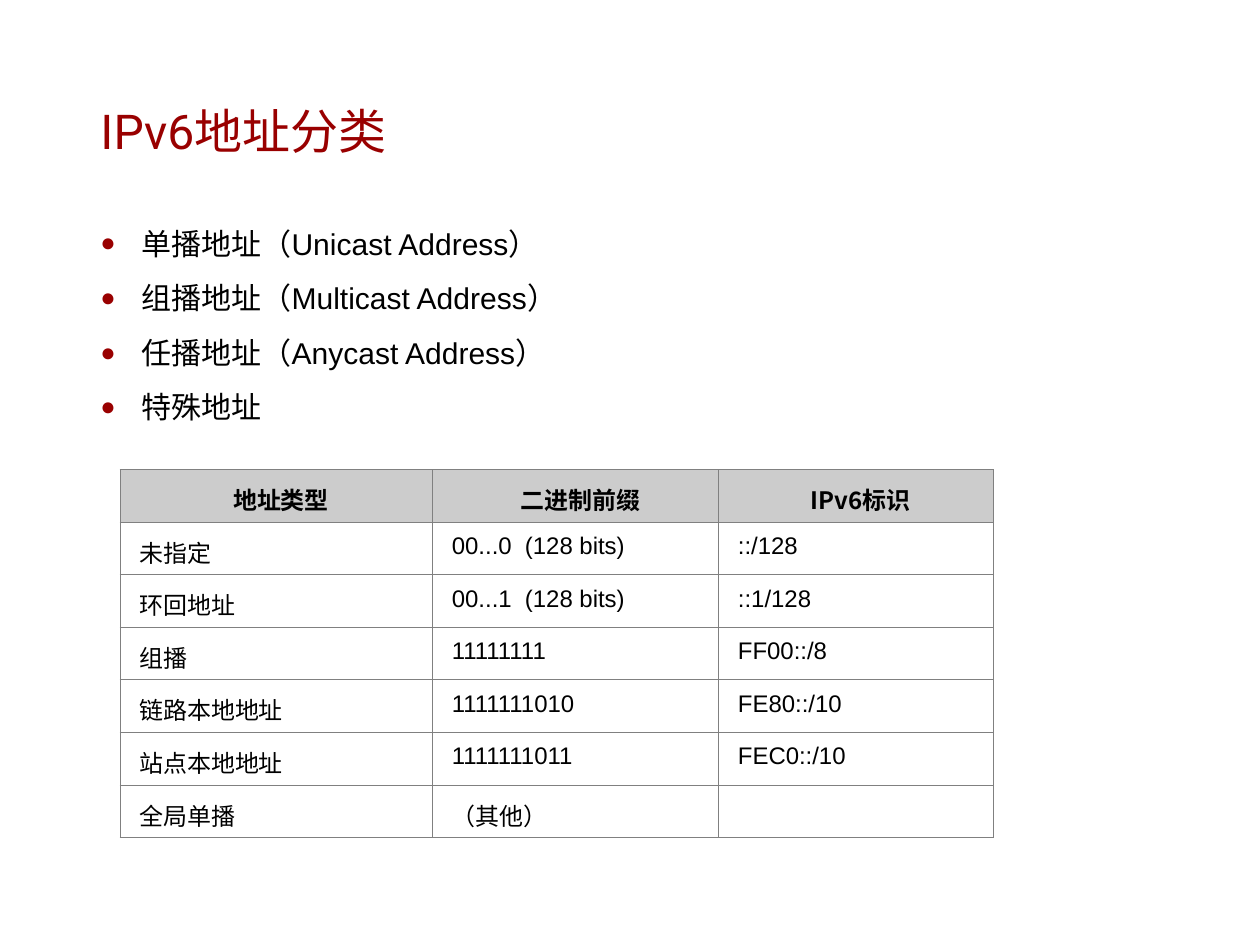
import pptx
import pptx.dml.color
import pptx.enum.text
import pptx.oxml
import pptx.oxml.ns
import pptx.util
from pptx.util import Cm, Pt

COLORS = {"accent": "990000", "text": "000000", "header": "CCCCCC", "border": "808080"}
CJK_FONT = "Noto Sans CJK SC"
LEFT = pptx.enum.text.PP_ALIGN.LEFT
CENTER = pptx.enum.text.PP_ALIGN.CENTER
TOP = pptx.enum.text.MSO_ANCHOR.TOP
MIDDLE = pptx.enum.text.MSO_ANCHOR.MIDDLE


def add_xml(parent, xml):
    """Append a DrawingML fragment whose root uses the a: prefix."""
    namespace = pptx.oxml.ns.nsdecls("a")
    tag, rest = xml[1:].split(" ", 1)
    parent.append(pptx.oxml.parse_xml(f"<{tag} {namespace} {rest}"))


def set_font(paragraph, name, size, color, bold=False):
    font = paragraph.font
    font.name, font.size, font.bold = name, Pt(size), bold
    font.color.rgb = pptx.dml.color.RGBColor.from_string(COLORS[color])
    add_xml(font._element, f'<a:ea typeface="{CJK_FONT}"/>')


presentation = pptx.Presentation()
presentation.slide_width, presentation.slide_height = Cm(29.64), Cm(22.22)
slide = presentation.slides.add_slide(presentation.slide_layouts[1])

# Title
title = slide.shapes.title
title.left, title.top, title.width, title.height = Cm(2.11), Cm(2.06), Cm(22.2), Cm(2.03)
title.text_frame.text = "IPv6地址分类"
title.text_frame.vertical_anchor = MIDDLE
title.text_frame.auto_size = pptx.enum.text.MSO_AUTO_SIZE.NONE
title.text_frame.paragraphs[0].alignment = LEFT
set_font(title.text_frame.paragraphs[0], "Roboto", 32, "accent")

# Address kinds
address_kinds = [
    "单播地址（Unicast Address）",
    "组播地址（Multicast Address）",
    "任播地址（Anycast Address）",
    "特殊地址",
]
body = slide.placeholders[1]
body.left, body.top, body.width, body.height = Cm(2.11), Cm(5.08), Cm(12.7), Cm(5.33)
body.text_frame.text = "\n".join(address_kinds)
body.text_frame.auto_size = pptx.enum.text.MSO_AUTO_SIZE.NONE
for index, paragraph in enumerate(body.text_frame.paragraphs):
    paragraph.line_spacing = 1.1
    paragraph.space_before = Pt(5 if index else 0)
    paragraph.space_after = Pt(5)
    properties = paragraph._p.get_or_add_pPr()
    properties.set("marL", str(Cm(0.96)))
    properties.set("indent", str(-Cm(0.96)))
    add_xml(properties, f'<a:buClr ><a:srgbClr val="{COLORS["accent"]}"/></a:buClr>')
    add_xml(properties, '<a:buSzPct val="85000"/>')
    add_xml(properties, '<a:buFont typeface="Arial"/>')
    add_xml(properties, '<a:buChar char="●"/>')
    set_font(paragraph, "Arial", 20, "text")

# Address table
address_rows = [
    ["地址类型", "二进制前缀", "IPv6标识"],
    ["未指定", "00...0  (128 bits)", "::/128"],
    ["环回地址", "00...1  (128 bits)", "::1/128"],
    ["组播", "11111111", "FF00::/8"],
    ["链路本地地址", "1111111010", "FE80::/10"],
    ["站点本地地址", "1111111011", "FEC0::/10"],
    ["全局单播", "（其他）", ""],
]
column_widths = [7.35, 6.73, 6.46]
row_height = 1.2
table = slide.shapes.add_table(
    len(address_rows), len(column_widths), Cm(2.82), Cm(11.04),
    Cm(sum(column_widths)), Cm(row_height * len(address_rows)),
).table
table.horz_banding = False
for column, width in zip(table.columns, column_widths):
    column.width = Cm(width)

for row_index, texts in enumerate(address_rows):
    is_header = row_index == 0
    table.rows[row_index].height = Cm(row_height)
    for column_index, text in enumerate(texts):
        cell = table.cell(row_index, column_index)
        cell.text = text
        cell.margin_left, cell.margin_right = Cm(0.46), Cm(0.23)
        cell.margin_top = cell.margin_bottom = Cm(0.13)
        cell.vertical_anchor = MIDDLE if is_header else TOP
        for side in ("lnL", "lnR", "lnT", "lnB"):
            add_xml(
                cell._tc.get_or_add_tcPr(),
                f'<a:{side} w="{Pt(0.45)}"><a:solidFill>'
                f'<a:srgbClr val="{COLORS["border"]}"/></a:solidFill></a:{side}>',
            )
        if is_header:
            cell.fill.solid()
            cell.fill.fore_color.rgb = pptx.dml.color.RGBColor.from_string(COLORS["header"])
        else:
            cell.fill.background()
        paragraph = cell.text_frame.paragraphs[0]
        paragraph.alignment = CENTER if is_header else LEFT
        paragraph.line_spacing = 1.2
        paragraph.space_after = Pt(4)
        set_font(paragraph, CJK_FONT if is_header else "Arial", 16, "text", is_header)

presentation.save("out.pptx")
